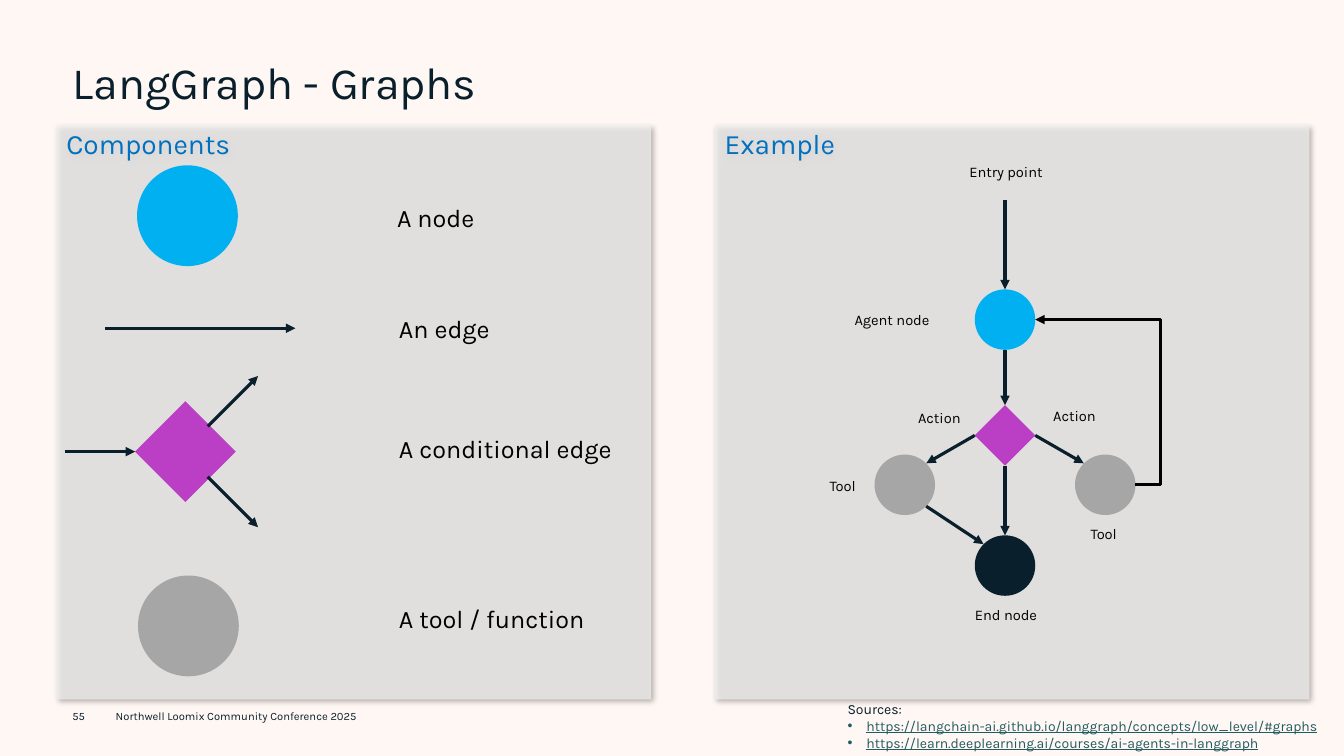
import pptx
import pptx.util
import pptx.dml.color
import pptx.enum.shapes
import pptx.enum.text
import pptx.oxml

Pt = pptx.util.Pt
SHAPE = pptx.enum.shapes.MSO_SHAPE
CONNECTOR = pptx.enum.shapes.MSO_CONNECTOR
ALIGN = pptx.enum.text.PP_ALIGN
ANCHOR = pptx.enum.text.MSO_ANCHOR
NS = 'xmlns:a="http://schemas.openxmlformats.org/drawingml/2006/main"'

COLORS = {"back": "FFF7F3", "panel": "F2F2F2", "heading": "0070C0", "ink": "091F2C",
          "black": "000000", "node": "00B0F0", "condition": "BA3FC4", "tool": "A6A6A6",
          "link": "225B61"}

TITLE = "LangGraph - Graphs"
PANELS = [("Components", 40.3), ("Example", 510.5)]
FOOTERS = [("55", 44.6, 31.7), ("Northwell Loomix Community Conference 2025", 75.6, 225.4)]
SOURCES = ["https://langchain-ai.github.io/langgraph/concepts/low_level/#graphs",
           "https://learn.deeplearning.ai/courses/ai-agents-in-langgraph"]
# text, left, middle
COMPONENTS = [("A node", 276.5, 155.5), ("An edge", 277.9, 234.7),
              ("A conditional edge", 277.9, 320.4), ("A tool / function", 277.9, 441.4)]
# text, centre, middle
LABELS = [("Entry point", 718.6, 122.4), ("Agent node", 637.2, 228.2), ("Action", 671, 298),
          ("Action", 767.5, 296.6), ("Tool", 601.9, 347), ("Tool", 788.4, 380.9),
          ("End node", 718.6, 439.2)]
# name: preset, colour, centre, middle, size
ICON, DOT, AXIS, SPREAD = 72, 43.2, 717.9, 71.6
NODES = {
    "component node": (SHAPE.OVAL, "node", 133.9, 154.1, ICON),
    "component condition": (SHAPE.DIAMOND, "condition", 132.5, 322.6, ICON),
    "component tool": (SHAPE.OVAL, "tool", 134.6, 447.1, ICON),
    "agent": (SHAPE.OVAL, "node", AXIS, 228.3, DOT),
    "condition": (SHAPE.DIAMOND, "condition", AXIS, 311, DOT),
    "left tool": (SHAPE.OVAL, "tool", AXIS - SPREAD, 346.3, DOT),
    "right tool": (SHAPE.OVAL, "tool", AXIS + SPREAD, 346.3, DOT),
    "end": (SHAPE.OVAL, "ink", AXIS, 404, DOT),
}
TOP, LEFT, BOTTOM, RIGHT = range(4)


def rgb(name):
    return pptx.dml.color.RGBColor.from_string(COLORS[name])


def xml(markup):
    return pptx.oxml.parse_xml(markup.replace(" ", f" {NS} ", 1))


def write(tf, text, size, color="ink", align=ALIGN.LEFT, anchor=ANCHOR.TOP,
          spacing=None, bullet=False, underline=None, add=False):
    """Put one paragraph in a text frame, or add it after those already there."""
    tf.word_wrap = True
    tf.vertical_anchor = anchor
    p = tf.add_paragraph() if add else tf.paragraphs[0]
    p.alignment = align
    if spacing:
        p.line_spacing = spacing
    if bullet:
        pPr = p._p.get_or_add_pPr()
        pPr.set("marL", str(Pt(13.5)))
        pPr.set("indent", str(-Pt(13.5)))
        pPr.append(xml('<a:buFont typeface="Arial"/>'))
        pPr.append(xml('<a:buChar char="•"/>'))
    r = p.add_run()
    r.text = text
    r.font.name = "Karla"
    r.font.size = Pt(size)
    r.font.color.rgb = rgb(color)
    r.font.underline = underline


def add_text(s, text, x, y, w, h, size, **style):
    tf = s.shapes.add_textbox(Pt(x), Pt(y), Pt(w), Pt(h)).text_frame
    write(tf, text, size, **style)
    return tf


def add_filled(s, preset, color, x, y, w, h):
    sp = s.shapes.add_shape(preset, Pt(x), Pt(y), Pt(w), Pt(h))
    sp.shadow.inherit = False
    sp.fill.solid()
    sp.fill.fore_color.rgb = rgb(color)
    sp.line.fill.background()
    return sp


def add_panel(s, heading, x):
    sp = add_filled(s, SHAPE.RECTANGLE, "panel", x, 89.3, 424.8, 410.4)
    spPr = sp._element.spPr
    spPr.find(".//{*}srgbClr").append(xml('<a:alpha val="71000"/>'))
    spPr.find("{*}effectLst").append(xml(
        f'<a:outerShdw blurRad="{Pt(4)}" dist="{Pt(3)}" dir="2700000" algn="tl" rotWithShape="0">'
        '<a:srgbClr val="000000"><a:alpha val="40000"/></a:srgbClr></a:outerShdw>'))
    write(sp.text_frame, heading, 20, color="heading", spacing=0.9)


def add_arrow(s, start, end, kind=CONNECTOR.STRAIGHT, color="ink", begin=None, finish=None):
    """Draw an arrow; begin and finish are (shape, side) pairs to join."""
    c = s.shapes.add_connector(kind, *(Pt(v) for v in (*start, *end)))
    if begin:
        c.begin_connect(*begin)
    if finish:
        c.end_connect(*finish)
    c.line.color.rgb = rgb(color)
    c.line.width = Pt(2.25)
    c.line._get_or_add_ln().append(xml('<a:tailEnd type="triangle"/>'))
    c._element.spPr.append(xml('<a:effectLst />'))
    return c


def point(name, dx, dy):
    """Point of a node, dx and dy radii away from its centre."""
    x, y, size = NODES[name][2:]
    return x + dx * size / 2, y + dy * size / 2


def main():
    prs = pptx.Presentation()
    prs.slide_width, prs.slide_height = Pt(960), Pt(540)
    s = prs.slides.add_slide(prs.slide_layouts[5])
    s.background.fill.solid()
    s.background.fill.fore_color.rgb = rgb("back")

    for heading, x in PANELS:
        add_panel(s, heading, x)
    title = s.shapes.title
    title.left, title.top, title.width, title.height = Pt(44.6), Pt(39.6), Pt(871.2), Pt(56.9)
    write(title.text_frame, TITLE, 32, spacing=0.9)

    for text, x, w in FOOTERS:
        add_text(s, text, x, 496.8, w, 28.8, 8, anchor=ANCHOR.MIDDLE)
    tf = add_text(s, "Sources:", 598.3, 496.8, 360, 43.2, 10)
    for link in SOURCES:
        write(tf, link, 10, color="link", bullet=True, underline=True, add=True)

    for text, x, middle in COMPONENTS:
        add_text(s, text, x, middle - 36, 188.6, 72, 18, color="black", anchor=ANCHOR.MIDDLE)
    for text, centre, middle in LABELS:
        add_text(s, text, centre - 57.6, middle - 36, 115.2, 72, 10.5, color="black",
                 align=ALIGN.CENTER, anchor=ANCHOR.MIDDLE)

    nodes = {name: add_filled(s, preset, color, x - size / 2, y - size / 2, size, size)
             for name, (preset, color, x, y, size) in NODES.items()}

    # component arrows
    add_arrow(s, (74.9, 234.5), (211, 234.5))
    x, y = point("component condition", -1, 0)
    add_arrow(s, (x - 50.4, y), (x, y), finish=(nodes["component condition"], LEFT))
    for side in (-1, 1):
        x, y = point("component condition", 0.44, 0.5 * side)
        add_arrow(s, (x, y), (x + 36, y + 36 * side))

    # example arrows
    diag = 0.71
    condition = nodes["condition"]
    add_arrow(s, (AXIS, 142.6), point("agent", 0, -1), finish=(nodes["agent"], TOP))
    add_arrow(s, point("agent", 0, 1), point("condition", 0, -1), finish=(condition, TOP))
    add_arrow(s, point("condition", -1, 0), point("left tool", diag, -diag),
              begin=(condition, LEFT))
    add_arrow(s, point("condition", 1, 0), point("right tool", -diag, -diag),
              begin=(condition, RIGHT))
    add_arrow(s, point("condition", 0, 1), point("end", 0, -1),
              begin=(condition, BOTTOM), finish=(nodes["end"], TOP))
    add_arrow(s, point("left tool", diag, diag), point("end", -diag, -diag))
    loop = add_arrow(s, point("right tool", 1, 0), point("agent", 1, 0),
                     kind=CONNECTOR.ELBOW, color="black")
    loop._element.spPr.find(".//{*}avLst").append(xml('<a:gd name="adj1" fmla="val -25100"/>'))

    prs.save("out.pptx")


if __name__ == "__main__":
    main()
